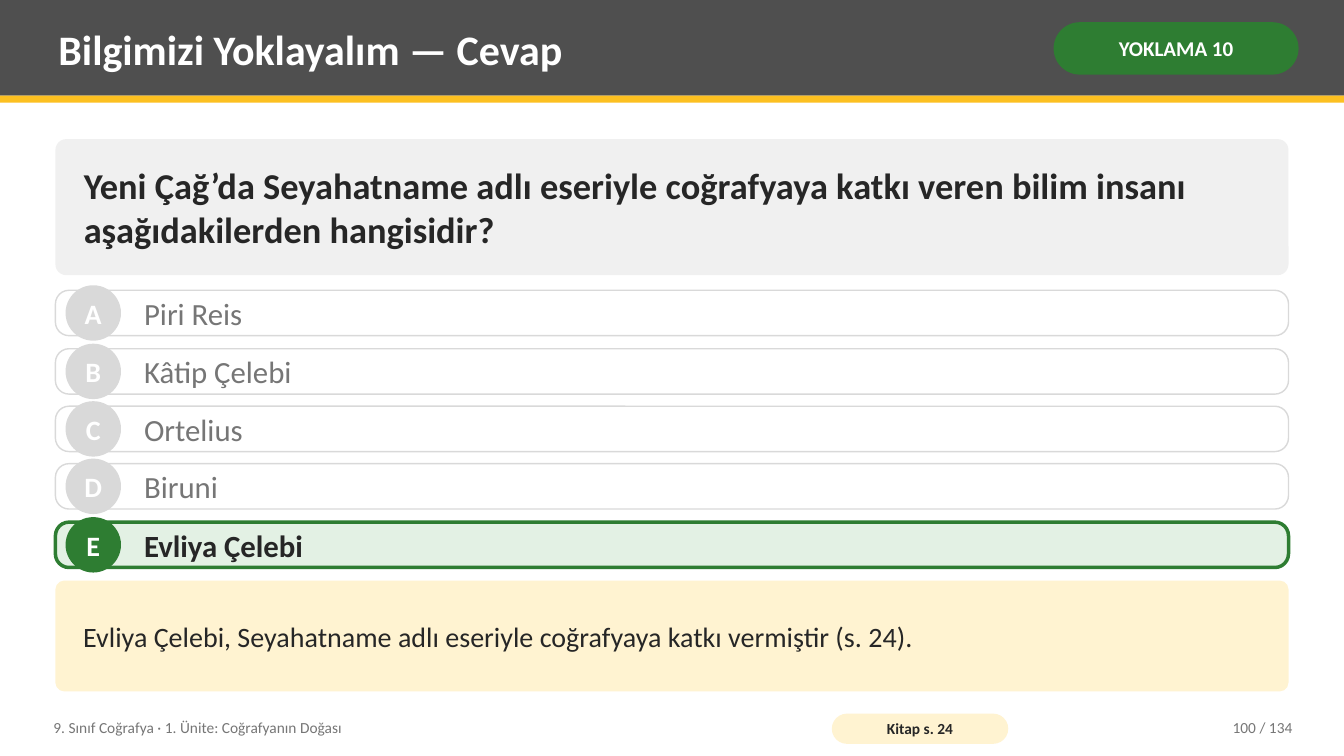
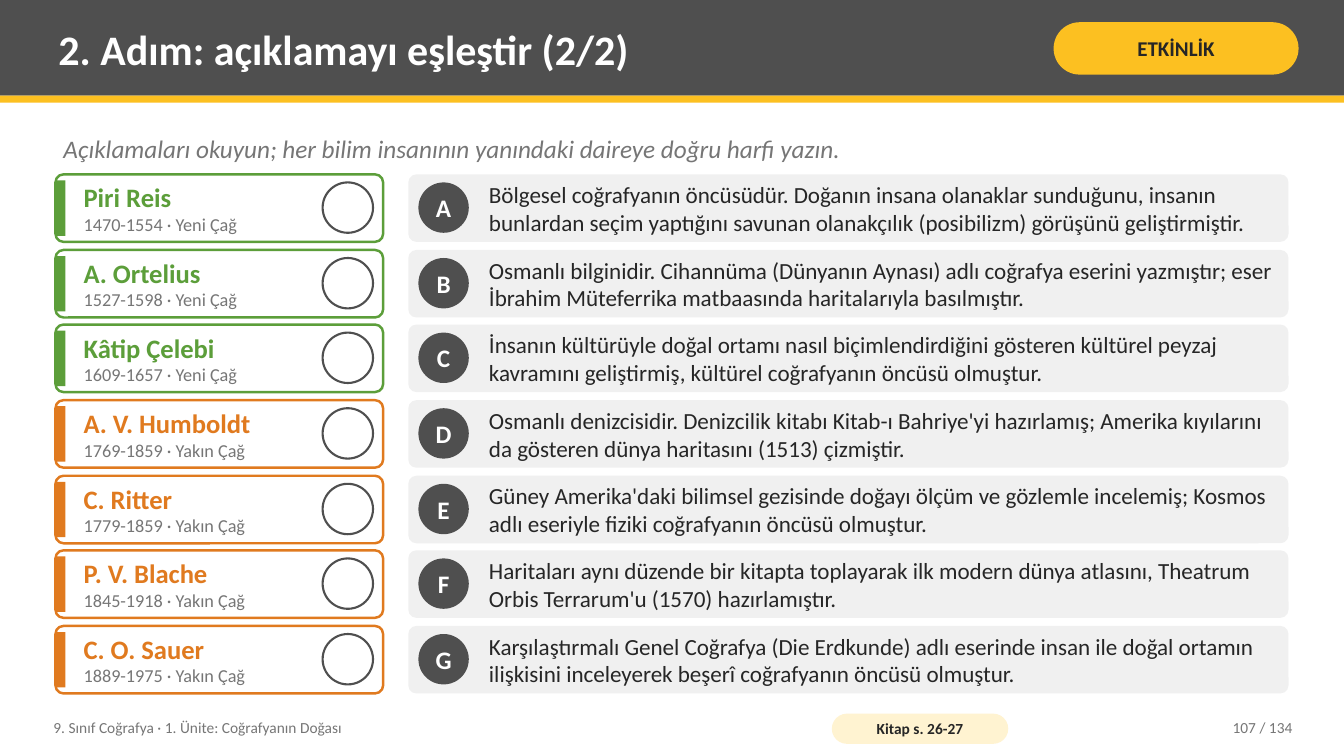
"""Build two geography lesson slides: a quiz answer and a matching activity."""
import pptx
import pptx.dml.color
import pptx.enum.shapes
import pptx.enum.text
import pptx.util

RGBColor = pptx.dml.color.RGBColor
Shape = pptx.enum.shapes.MSO_SHAPE
Align = pptx.enum.text.PP_ALIGN

PX = pptx.util.Inches(1) // 100
FONT = "Calibri"
WHITE = RGBColor(0xFF, 0xFF, 0xFF)
INK = RGBColor(0x26, 0x26, 0x26)
CHARCOAL = RGBColor(0x4F, 0x4F, 0x4F)
GREY = RGBColor(0x76, 0x76, 0x76)
SILVER = RGBColor(0xD9, 0xD9, 0xD9)
PALE = RGBColor(0xF0, 0xF0, 0xF0)
YELLOW = RGBColor(0xFC, 0xC0, 0x21)
CREAM = RGBColor(0xFF, 0xF3, 0xD1)
GREEN = RGBColor(0x2E, 0x7D, 0x32)
MINT = RGBColor(0xE3, 0xF1, 0xE4)
LEAF = RGBColor(0x5C, 0x9E, 0x3A)
ORANGE = RGBColor(0xE0, 0x7A, 0x1F)

SLIDE_WIDTH, SLIDE_HEIGHT = 1333, 750
LEFT, CONTENT_WIDTH = 55, 1223
TEXT_MARGINS = (8, 4)
ROW_MARGINS = (8, 2)
PANEL_MARGINS = (25, 8)

OPTIONS = ["Piri Reis", "Kâtip Çelebi", "Ortelius", "Biruni", "Evliya Çelebi"]
ANSWER = "Evliya Çelebi"

NEW_AGE = ("Yeni Çağ", LEAF)
RECENT_AGE = ("Yakın Çağ", ORANGE)
MATCHES = [
    ("Piri Reis", "1470-1554", NEW_AGE,
     "Bölgesel coğrafyanın öncüsüdür. Doğanın insana olanaklar sunduğunu, insanın bunlardan "
     "seçim yaptığını savunan olanakçılık (posibilizm) görüşünü geliştirmiştir."),
    ("A. Ortelius", "1527-1598", NEW_AGE,
     "Osmanlı bilginidir. Cihannüma (Dünyanın Aynası) adlı coğrafya eserini yazmıştır; eser "
     "İbrahim Müteferrika matbaasında haritalarıyla basılmıştır."),
    ("Kâtip Çelebi", "1609-1657", NEW_AGE,
     "İnsanın kültürüyle doğal ortamı nasıl biçimlendirdiğini gösteren kültürel peyzaj "
     "kavramını geliştirmiş, kültürel coğrafyanın öncüsü olmuştur."),
    ("A. V. Humboldt", "1769-1859", RECENT_AGE,
     "Osmanlı denizcisidir. Denizcilik kitabı Kitab-ı Bahriye'yi hazırlamış; Amerika kıyılarını "
     "da gösteren dünya haritasını (1513) çizmiştir."),
    ("C. Ritter", "1779-1859", RECENT_AGE,
     "Güney Amerika'daki bilimsel gezisinde doğayı ölçüm ve gözlemle incelemiş; Kosmos "
     "adlı eseriyle fiziki coğrafyanın öncüsü olmuştur."),
    ("P. V. Blache", "1845-1918", RECENT_AGE,
     "Haritaları aynı düzende bir kitapta toplayarak ilk modern dünya atlasını, Theatrum "
     "Orbis Terrarum'u (1570) hazırlamıştır."),
    ("C. O. Sauer", "1889-1975", RECENT_AGE,
     "Karşılaştırmalı Genel Coğrafya (Die Erdkunde) adlı eserinde insan ile doğal ortamın "
     "ilişkisini inceleyerek beşerî coğrafyanın öncüsü olmuştur."),
]


def font_format(size, color, bold=False, italic=False):
    """Return the format values of one text style."""
    return {"size": pptx.util.Pt(size), "color": color, "bold": bold, "italic": italic}


TITLE_FONT = font_format(30, WHITE, bold=True)
FOOTER_FONT = font_format(11, GREY)


def row_tops(first, last, count):
    """Return evenly spaced top positions from first to last."""
    return [round(first + (last - first) * index / (count - 1)) for index in range(count)]


def to_emu(box):
    """Turn a box in px into EMU."""
    return [value * PX for value in box]


def write_text(shape, lines, margins=TEXT_MARGINS, alignment=Align.LEFT, wrap=True):
    """Write (text, format) lines, centred vertically, into a shape."""
    frame = shape.text_frame
    horizontal, vertical = (value * PX for value in margins)
    frame_format = {
        "margin_left": horizontal, "margin_right": horizontal,
        "margin_top": vertical, "margin_bottom": vertical,
        "word_wrap": wrap, "auto_size": pptx.enum.text.MSO_AUTO_SIZE.NONE,
        "vertical_anchor": pptx.enum.text.MSO_ANCHOR.MIDDLE,
    }
    for name, value in frame_format.items():
        setattr(frame, name, value)
    for index, (text, values) in enumerate(lines):
        paragraph = frame.add_paragraph() if index else frame.paragraphs[0]
        paragraph.alignment = alignment
        run = paragraph.add_run()
        run.text = text
        run.font.name = FONT
        for name, value in values.items():
            if name == "color":
                run.font.color.rgb = value
            else:
                setattr(run.font, name, value)


def add_text(slide, box, lines, margins=TEXT_MARGINS, alignment=Align.LEFT):
    """Add a text box."""
    shape = slide.shapes.add_textbox(*to_emu(box))
    write_text(shape, lines, margins, alignment)
    return shape


def add_block(slide, kind, box, fill, line=None, line_width=1, corner=None):
    """Add a flat filled shape with an optional outline and corner radius."""
    shape = slide.shapes.add_shape(kind, *to_emu(box))
    shape.shadow.inherit = False
    shape.fill.solid()
    shape.fill.fore_color.rgb = fill
    if line is None:
        shape.line.fill.background()
    else:
        shape.line.color.rgb = line
        shape.line.width = pptx.util.Pt(line_width)
    if corner is not None:
        shape.adjustments[0] = corner
    return shape


def add_pill(slide, box, fill, text, values, margins):
    """Add a fully rounded label."""
    pill = add_block(slide, Shape.ROUNDED_RECTANGLE, box, fill, corner=0.5)
    write_text(pill, [(text, values)], margins, Align.CENTER)


def add_panel(slide, box, fill, text, values):
    """Add a wide rounded panel of text."""
    panel = add_block(slide, Shape.ROUNDED_RECTANGLE, box, fill, corner=0.08)
    write_text(panel, [(text, values)], PANEL_MARGINS)


def add_letter(slide, left, top, diameter, fill, letter, size):
    """Add a round badge with a letter."""
    badge = add_block(slide, Shape.OVAL, (left, top, diameter, diameter), fill)
    write_text(badge, [(letter, font_format(size, WHITE, bold=True))], (0, 0),
               Align.CENTER, wrap=False)


def fill_layout(presentation, layout):
    """Put the header bands and the unit name on the layout through its first slide."""
    slide = presentation.slides.add_slide(layout)
    shared = [
        add_block(slide, Shape.RECTANGLE, (0, 0, SLIDE_WIDTH, 95), CHARCOAL),
        add_block(slide, Shape.RECTANGLE, (0, 95, SLIDE_WIDTH, 7), YELLOW),
        add_text(slide, (45, 704, 760, 36),
                 [("9. Sınıf Coğrafya · 1. Ünite: Coğrafyanın Doğası", FOOTER_FONT)]),
    ]
    for shape in shared:
        layout.shapes.element.append(shape.element)
    return slide


def add_frame(slide, title, tag, tag_fill, tag_color, source, page):
    """Fill the title, tag, book reference and page number."""
    placeholder = slide.shapes.title
    for name, value in zip(("left", "top", "width", "height"), to_emu((50, 7, 975, 82))):
        setattr(placeholder, name, value)
    write_text(placeholder, [(title, TITLE_FONT)])
    add_pill(slide, (1045, 22, 243, 52), tag_fill, tag,
             font_format(15, tag_color, bold=True), (5, 2))
    add_pill(slide, (825, 708, 175, 30), CREAM, source,
             font_format(11, INK, bold=True), (4, 0))
    add_text(slide, (1130, 704, 160, 36), [(f"{page} / 134", FOOTER_FONT)],
             alignment=Align.RIGHT)


def add_option(slide, top, letter, text, correct):
    """Add one answer option, highlighted when correct."""
    fill, accent, line_width = (MINT, GREEN, 2.5) if correct else (WHITE, SILVER, 1)
    add_block(slide, Shape.ROUNDED_RECTANGLE, (LEFT, top, CONTENT_WIDTH, 45), fill,
              accent, line_width, corner=0.3)
    add_letter(slide, 65, top - 5, 55, accent, letter, 20)
    values = font_format(22, INK if correct else GREY, bold=correct)
    add_text(slide, (135, top, 1123, 45), [(text, values)])


def add_match(slide, top, letter, name, years, age, description):
    """Add one scholar card and the lettered description beside it."""
    age_name, color = age
    height = 67
    add_block(slide, Shape.ROUNDED_RECTANGLE, (LEFT, top, 325, height), WHITE,
              color, 1.75, corner=0.12)
    add_block(slide, Shape.RECTANGLE, (LEFT, top + 6, 10, 55), color)
    add_text(slide, (75, top, 240, height),
             [(name, font_format(19, color, bold=True)),
              (f"{years} · {age_name}", font_format(13, GREY))], ROW_MARGINS)
    add_block(slide, Shape.OVAL, (320, top + 8, 50, 50), WHITE, CHARCOAL, 1.5)
    add_block(slide, Shape.ROUNDED_RECTANGLE, (405, top, 873, height), PALE, corner=0.12)
    add_letter(slide, 415, top + 8, 50, CHARCOAL, letter, 18)
    add_text(slide, (477, top, 793, height),
             [(description, font_format(16.5, INK))], ROW_MARGINS)


def build_answer(slide):
    """Build the quiz answer slide."""
    add_frame(slide, "Bilgimizi Yoklayalım — Cevap", "YOKLAMA 10", GREEN, WHITE,
              "Kitap s. 24", 100)
    add_panel(slide, (LEFT, 138, CONTENT_WIDTH, 135), PALE,
              "Yeni Çağ’da Seyahatname adlı eseriyle coğrafyaya katkı veren bilim insanı "
              "aşağıdakilerden hangisidir?", font_format(26, INK, bold=True))
    for top, letter, option in zip(row_tops(288, 518, len(OPTIONS)), "ABCDE", OPTIONS):
        add_option(slide, top, letter, option, option == ANSWER)
    add_panel(slide, (LEFT, 576, CONTENT_WIDTH, 110), CREAM,
              "Evliya Çelebi, Seyahatname adlı eseriyle coğrafyaya katkı vermiştir (s. 24).",
              font_format(20, INK))


def build_matching(slide):
    """Build the matching activity slide."""
    add_frame(slide, "2. Adım: açıklamayı eşleştir (2/2)", "ETKİNLİK", YELLOW, INK,
              "Kitap s. 26-27", 107)
    add_text(slide, (LEFT, 126, CONTENT_WIDTH, 42),
             [("Açıklamaları okuyun; her bilim insanının yanındaki daireye doğru harfi yazın.",
               font_format(18, GREY, italic=True))])
    for top, letter, match in zip(row_tops(173, 621, len(MATCHES)), "ABCDEFG", MATCHES):
        add_match(slide, top, letter, *match)


def main():
    """Build and save the presentation."""
    presentation = pptx.Presentation()
    presentation.slide_width = SLIDE_WIDTH * PX
    presentation.slide_height = SLIDE_HEIGHT * PX
    layout = presentation.slide_layouts.get_by_name("Title Only")
    build_answer(fill_layout(presentation, layout))
    build_matching(presentation.slides.add_slide(layout))
    presentation.save("out.pptx")


if __name__ == "__main__":
    main()
